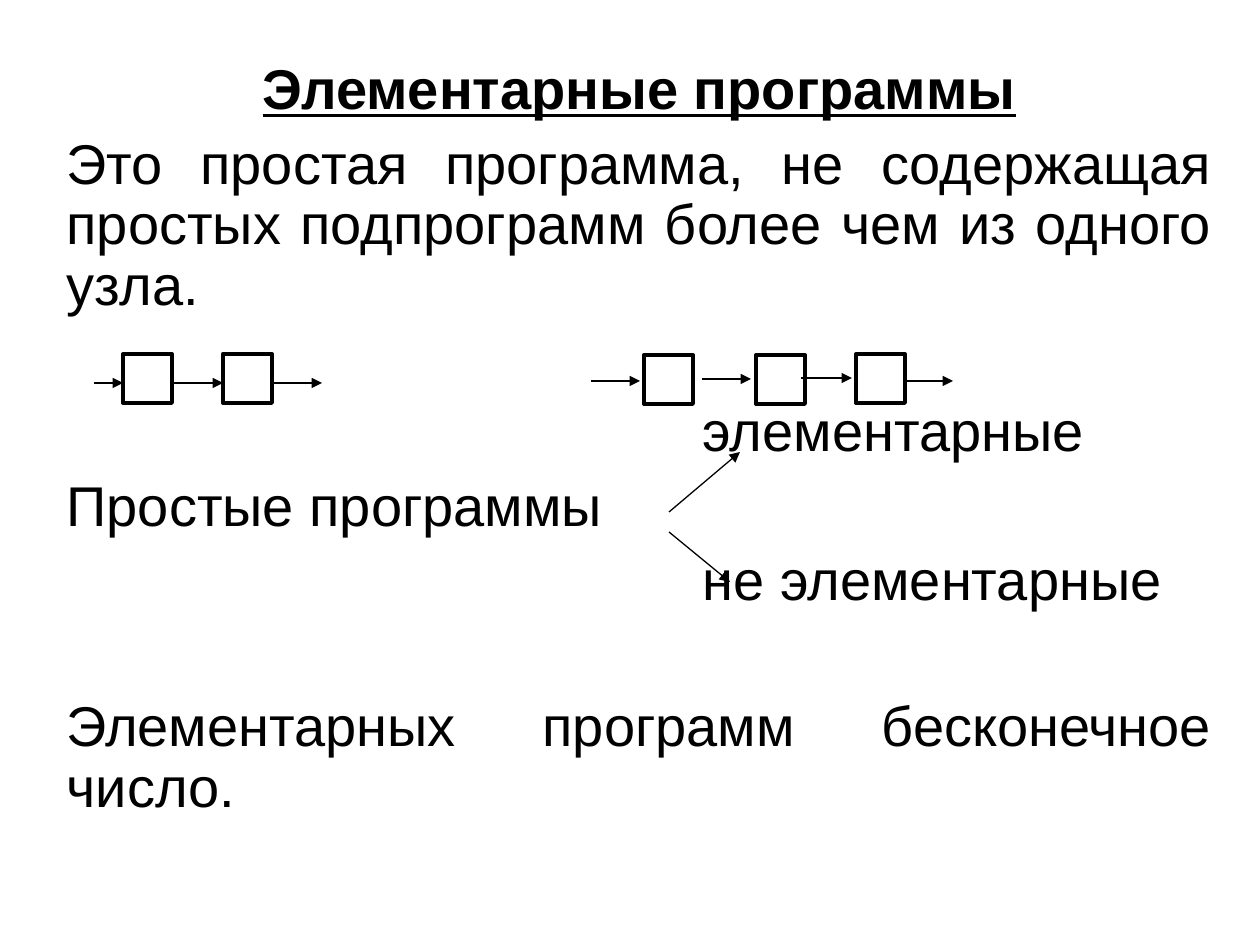
from pptx import Presentation
from pptx.dml.color import RGBColor
from pptx.enum.shapes import MSO_CONNECTOR, MSO_SHAPE
from pptx.enum.text import MSO_ANCHOR, MSO_AUTO_SIZE, PP_ALIGN
from pptx.oxml.ns import qn
from pptx.util import Pt
from lxml import etree

BLACK = RGBColor(0, 0, 0)
STRAIGHT = MSO_CONNECTOR.STRAIGHT
RECT = MSO_SHAPE.RECTANGLE
CENTER, JUSTIFY = PP_ALIGN.CENTER, PP_ALIGN.JUSTIFY
TOP, NO_FIT = MSO_ANCHOR.TOP, MSO_AUTO_SIZE.NONE

SCALE = 914400 / 126  # EMU per px
NODE = 49             # side of a node square
BRANCH_INDENT = 636
GAP, SECTION_GAP = 8, 49  # points before a paragraph

# text, alignment, left indent, space before
PARAGRAPHS = [
    ("Элементарные программы", CENTER, 0, 0),
    ("Это простая программа, не содержащая простых подпрограмм "
     "более чем из одного узла.", JUSTIFY, 0, GAP),
    ("элементарные", JUSTIFY, BRANCH_INDENT, SECTION_GAP),
    ("Простые программы", JUSTIFY, 0, GAP),
    ("не элементарные", JUSTIFY, BRANCH_INDENT, GAP),
    ("Элементарных программ бесконечное число.", JUSTIFY, 0, SECTION_GAP),
]

# left, top of each node
NODES = [(123, 354), (223, 354), (644, 355), (756, 355), (856, 354)]

# x1, y1, x2, y2
FLOW_ARROWS = [
    (94, 383, 123, 383), (174, 383, 223, 383), (272, 383, 322, 383),
    (591, 381, 640, 381), (702, 379, 751, 379), (801, 378, 852, 378),
    (906, 381, 953, 381),
]
BRANCH_ARROWS = [(669, 512, 740, 452), (669, 532, 730, 582)]


def px(n):
    return round(n * SCALE)


def add_paragraph(p, text, align, indent, before):
    pPr = p._p.get_or_add_pPr()
    pPr.set("marL", str(px(indent)))
    pPr.set("indent", "0")
    etree.SubElement(pPr, qn("a:buNone"))
    p.alignment = align
    p.line_spacing = 0.9
    p.space_before = Pt(before)
    r = p.add_run()
    r.text = text
    r.font.name = "Arial"
    r.font.size = Pt(32)
    r.font.color.rgb = BLACK
    return r


def fill_body(body):
    body.left, body.top, body.width, body.height = map(px, (54, 55, 1171, 799))
    tf = body.text_frame
    tf.word_wrap = True
    tf.auto_size = NO_FIT
    tf.vertical_anchor = TOP
    for i, paragraph in enumerate(PARAGRAPHS):
        p = tf.add_paragraph() if i else tf.paragraphs[0]
        r = add_paragraph(p, *paragraph)
        if i == 0:
            r.font.bold = r.font.underline = True


def add_node(slide, x, y):
    sp = slide.shapes.add_shape(RECT, px(x), px(y), px(NODE), px(NODE))
    sp.shadow.inherit = False
    sp.fill.background()
    sp.line.color.rgb = BLACK
    sp.line.width = Pt(2.25)


def add_arrow(slide, *ends):
    line = slide.shapes.add_connector(STRAIGHT, *map(px, ends))
    line.line.color.rgb = BLACK
    line.line.width = Pt(0.75)
    etree.SubElement(line.line._get_or_add_ln(), qn("a:tailEnd"), type="triangle")
    etree.SubElement(line._element.spPr, qn("a:effectLst"))


def main():
    prs = Presentation()
    prs.slide_width, prs.slide_height = px(1260), px(945)
    slide = prs.slides.add_slide(prs.slide_layouts[1])

    # Heading and text share the body
    title = slide.shapes.title._element
    title.getparent().remove(title)
    fill_body(slide.placeholders[1])

    # Two chains of nodes, then the branches
    for node in NODES:
        add_node(slide, *node)
    for arrow in FLOW_ARROWS + BRANCH_ARROWS:
        add_arrow(slide, *arrow)

    prs.save("out.pptx")


if __name__ == "__main__":
    main()
